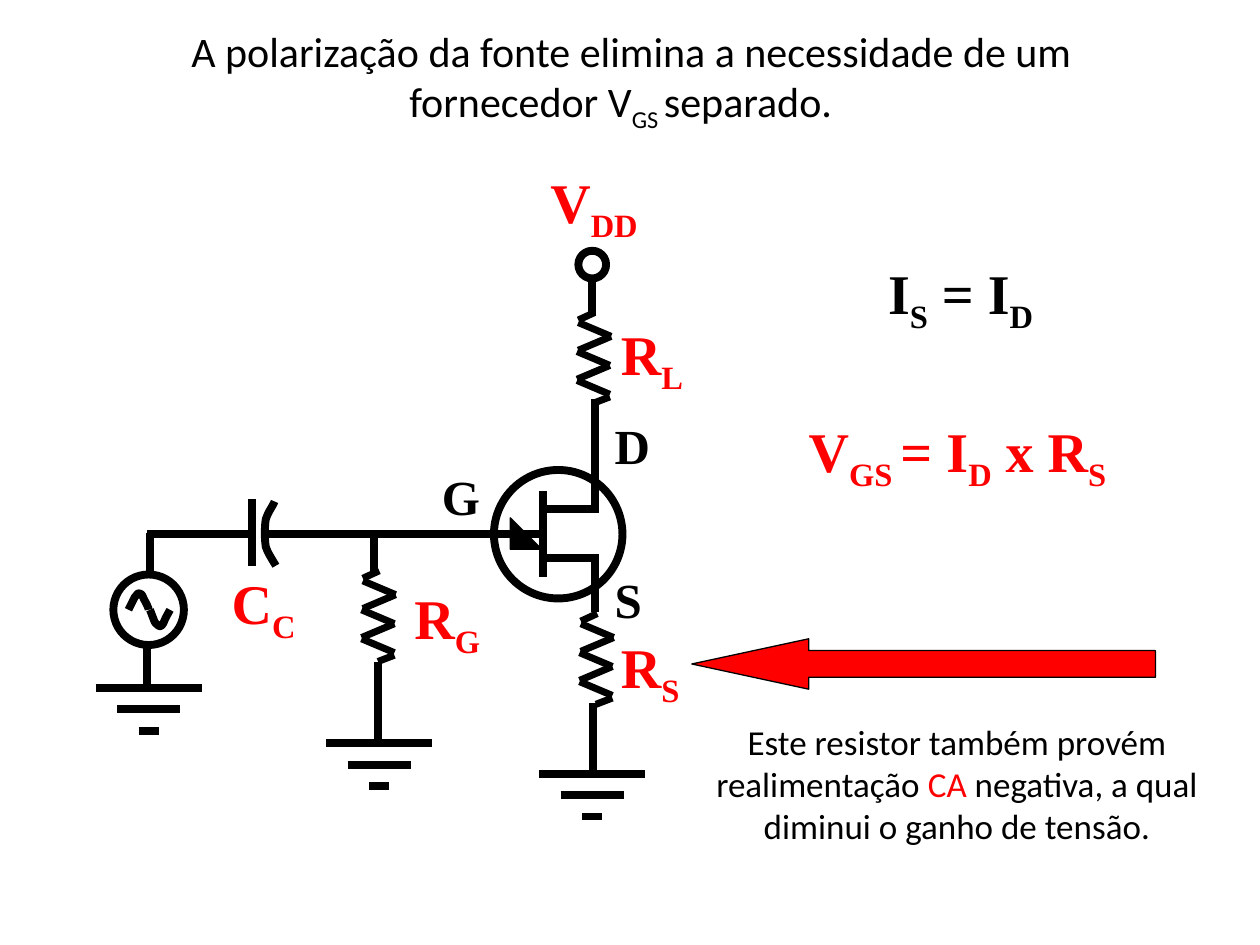
from typing import NamedTuple

from pptx import Presentation
from pptx.dml.color import RGBColor
from pptx.enum.shapes import MSO_CONNECTOR, MSO_SHAPE
from pptx.enum.text import MSO_AUTO_SIZE, PP_ALIGN
from pptx.oxml.ns import qn
from pptx.util import Emu, Pt

PX = 9144  # 100 px to the inch
STRAIGHT = MSO_CONNECTOR.STRAIGHT
ELLIPSE, TRIANGLE, LEFT_ARROW = MSO_SHAPE.OVAL, MSO_SHAPE.RIGHT_TRIANGLE, MSO_SHAPE.LEFT_ARROW
TRIANGLE = MSO_SHAPE.ISOSCELES_TRIANGLE
FIT_SHAPE = MSO_AUTO_SIZE.SHAPE_TO_FIT_TEXT
LEFT, CENTER = PP_ALIGN.LEFT, PP_ALIGN.CENTER
SERIF, SANS = "Times New Roman", "Calibri"
BLACK, RED = "000000", "FF0000"
WIRE, ZIGZAG, THIN = 4.5, 4, 0.75


class Point(NamedTuple):
    x: float
    y: float


class Wire(NamedTuple):
    x1: int
    y1: int
    x2: int
    y2: int


class Box(NamedTuple):
    left: int
    top: int
    width: int
    height: int


class Run(NamedTuple):
    text: str
    color: str | None = None
    subscript: bool = False


class Label(NamedTuple):
    box: Box
    text: str
    color: str = RED
    size: int = 32


class Line(NamedTuple):
    runs: list[Run]
    indent: int = 0


WIRES = [
    Wire(431, 390, 431, 458),  # transistor channel
    Wire(430, 424, 210, 424),  # gate
    Wire(432, 404, 475, 404), Wire(472, 403, 472, 317),  # drain
    Wire(432, 443, 475, 443), Wire(472, 486, 472, 443),  # source
    Wire(470, 222, 470, 250),  # supply
    Wire(471, 558, 471, 612), Wire(300, 525, 300, 588),  # resistors to ground
    Wire(297, 424, 297, 455),
    Wire(200, 449, 200, 396),  # flat capacitor plate
    Wire(200, 424, 117, 424), Wire(119, 423, 119, 453), Wire(117, 513, 117, 543),
]
RINGS = [Box(392, 373, 102, 102), Box(459, 199, 22, 22), Box(90, 456, 56, 56)]
RESISTORS = [Point(287, 453), Point(458, 248), Point(460, 487)]
RESISTOR_STROKES = [
    Wire(27, 19, 1, 8), Wire(26, 42, 0, 31), Wire(26, 65, 0, 54), Wire(0, 53, 26, 42),
    Wire(1, 30, 27, 19), Wire(1, 6, 14, 0), Wire(13, 72, 26, 67),
]
GROUNDS = [Point(118, 546), Point(301, 590), Point(470, 614)]
GROUND_HALF_WIDTHS = [42, 25, 8]
GROUND_STEP = 17

# Each curve is a chain of cubic Béziers: a start, then three points per segment
CURVES = [
    [(219, 449), (218, 447), (213, 440), (211, 434), (210, 428), (210, 418), (211, 412),
     (213, 406), (217, 401), (218, 398)],  # curved capacitor plate
    [(118, 484), (118, 482), (115, 477), (114, 475), (113, 472), (112, 471), (110, 471),
     (109, 471), (109, 472), (107, 474), (106, 476), (103, 482), (102, 484)],
    [(135, 484), (134, 486), (131, 491), (130, 494), (129, 496), (128, 497), (127, 497),
     (126, 497), (125, 496), (123, 494), (122, 492), (120, 486), (119, 484)],
]
CURVE_STEPS = 6

# Every second part between underscores is a subscript
LABELS = [
    Label(Box(478, 325, 48, 52), "D", BLACK, 28),
    Label(Box(478, 447, 42, 52), "S", BLACK, 28),
    Label(Box(341, 365, 50, 52), "G", BLACK, 28),
    Label(Box(427, 128, 102, 58), "V_DD"),
    Label(Box(319, 458, 75, 58), "R_G"),
    Label(Box(174, 446, 74, 58), "C_C"),
    Label(Box(483, 249, 79, 58), "R_L"),
    Label(Box(483, 497, 69, 58), "R_S"),
    Label(Box(632, 326, 268, 58), "V_GS _= I_D_ x R_S"),
    Label(Box(695, 200, 140, 58), "I_S_ = I_D", BLACK),
]


def rgb(color: str) -> RGBColor:
    return RGBColor.from_string(color)


def emu(*lengths: float) -> list[Emu]:
    return [Emu(round(length * PX)) for length in lengths]


def subscripted(text: str) -> list[Run]:
    return [Run(part, subscript=i % 2 == 1) for i, part in enumerate(text.split("_"))]


def style_shape(shape, fill: str | None, weight: float) -> None:
    shape.shadow.inherit = False
    if fill:
        shape.fill.solid()
        shape.fill.fore_color.rgb = rgb(fill)
    else:
        shape.fill.background()
    shape.line.color.rgb = rgb(BLACK)
    shape.line.width = Pt(weight)


def add_wire(shapes, wire: Wire, weight: float = WIRE) -> None:
    connector = shapes.add_connector(STRAIGHT, *emu(*wire))
    connector.line.color.rgb = rgb(BLACK)
    connector.line.width = Pt(weight)
    properties = connector._element.spPr
    properties.append(properties.makeelement(qn("a:effectLst"), {}))


def add_preset(shapes, preset, box: Box, fill: str | None = None, weight: float = WIRE):
    shape = shapes.add_shape(preset, *emu(*box))
    style_shape(shape, fill, weight)
    return shape


def add_resistor(shapes, origin: Point) -> None:
    for x1, y1, x2, y2 in RESISTOR_STROKES:
        add_wire(shapes, Wire(origin.x + x1, origin.y + y1, origin.x + x2, origin.y + y2), ZIGZAG)


def add_ground(shapes, top: Point) -> None:
    for row, half in enumerate(GROUND_HALF_WIDTHS):
        y = top.y + row * GROUND_STEP
        add_wire(shapes, Wire(top.x - half, y, top.x + half, y))


def bezier(a: float, b: float, c: float, d: float, t: float) -> float:
    u = 1 - t
    return u**3 * a + 3 * u**2 * t * b + 3 * u * t**2 * c + t**3 * d


def add_curve(shapes, points: list[tuple[int, int]]) -> None:
    outline = []
    for start in range(0, len(points) - 1, 3):
        xs, ys = zip(*points[start:start + 4])
        for step in range(1, CURVE_STEPS + 1):
            t = step / CURVE_STEPS
            outline.append(emu(bezier(*xs, t), bezier(*ys, t)))
    builder = shapes.build_freeform(*emu(*points[0]))
    builder.add_line_segments(outline, close=False)
    style_shape(builder.convert_to_shape(), None, WIRE)


def add_text(shapes, box: Box, lines: list[Line], font: str, size: int,
             color: str = BLACK, bold: bool = False, align=LEFT) -> None:
    frame = shapes.add_textbox(*emu(*box)).text_frame
    frame.word_wrap = False
    frame.auto_size = FIT_SHAPE
    for i, line in enumerate(lines):
        paragraph = frame.add_paragraph() if i else frame.paragraphs[0]
        paragraph.alignment = align
        if line.indent:
            paragraph._p.get_or_add_pPr().set("marL", str(line.indent * PX))
        paragraph.font.name = font
        paragraph.font.size = Pt(size)
        paragraph.font.bold = bold
        paragraph.font.color.rgb = rgb(color)
        for part in line.runs:
            run = paragraph.add_run()
            run.text = part.text
            if part.color:
                run.font.color.rgb = rgb(part.color)
            if part.subscript:
                run._r.get_or_add_rPr().set("baseline", "-25000")


def main() -> None:
    presentation = Presentation()
    presentation.slide_width, presentation.slide_height = emu(1000, 750)
    shapes = presentation.slides.add_slide(presentation.slide_layouts[6]).shapes

    for wire in WIRES:
        add_wire(shapes, wire)
    for ring in RINGS:
        add_preset(shapes, ELLIPSE, ring)
    gate_arrow = add_preset(shapes, TRIANGLE, Box(405, 411, 25, 25), BLACK, THIN)
    gate_arrow.adjustments[0] = 1
    gate_arrow.rotation = 90
    for resistor in RESISTORS:
        add_resistor(shapes, resistor)
    for ground in GROUNDS:
        add_ground(shapes, ground)
    for curve in CURVES:
        add_curve(shapes, curve)
    for label in LABELS:
        add_text(shapes, label.box, [Line(subscripted(label.text))], SERIF, label.size,
                 label.color, bold=True)

    title = [Line([Run("A polarização da fonte elimina a necessidade de um")]),
             Line(subscripted("fornecedor V_GS _separado."), indent=173)]
    add_text(shapes, Box(142, 15, 749, 91), title, SANS, 24)

    feedback_arrow = add_preset(shapes, LEFT_ARROW, Box(549, 507, 368, 40), RED, THIN)
    feedback_arrow.adjustments[0] = 0.53
    feedback_arrow.adjustments[1] = 2.32
    feedback = [Line([Run("Este resistor também provém")]),
                Line([Run("realimentação "), Run("CA", RED), Run(" negativa, a qual")]),
                Line([Run("diminui o ganho de tensão.")])]
    add_text(shapes, Box(552, 567, 415, 111), feedback, SANS, 20, align=CENTER)

    presentation.save("out.pptx")


if __name__ == "__main__":
    main()
